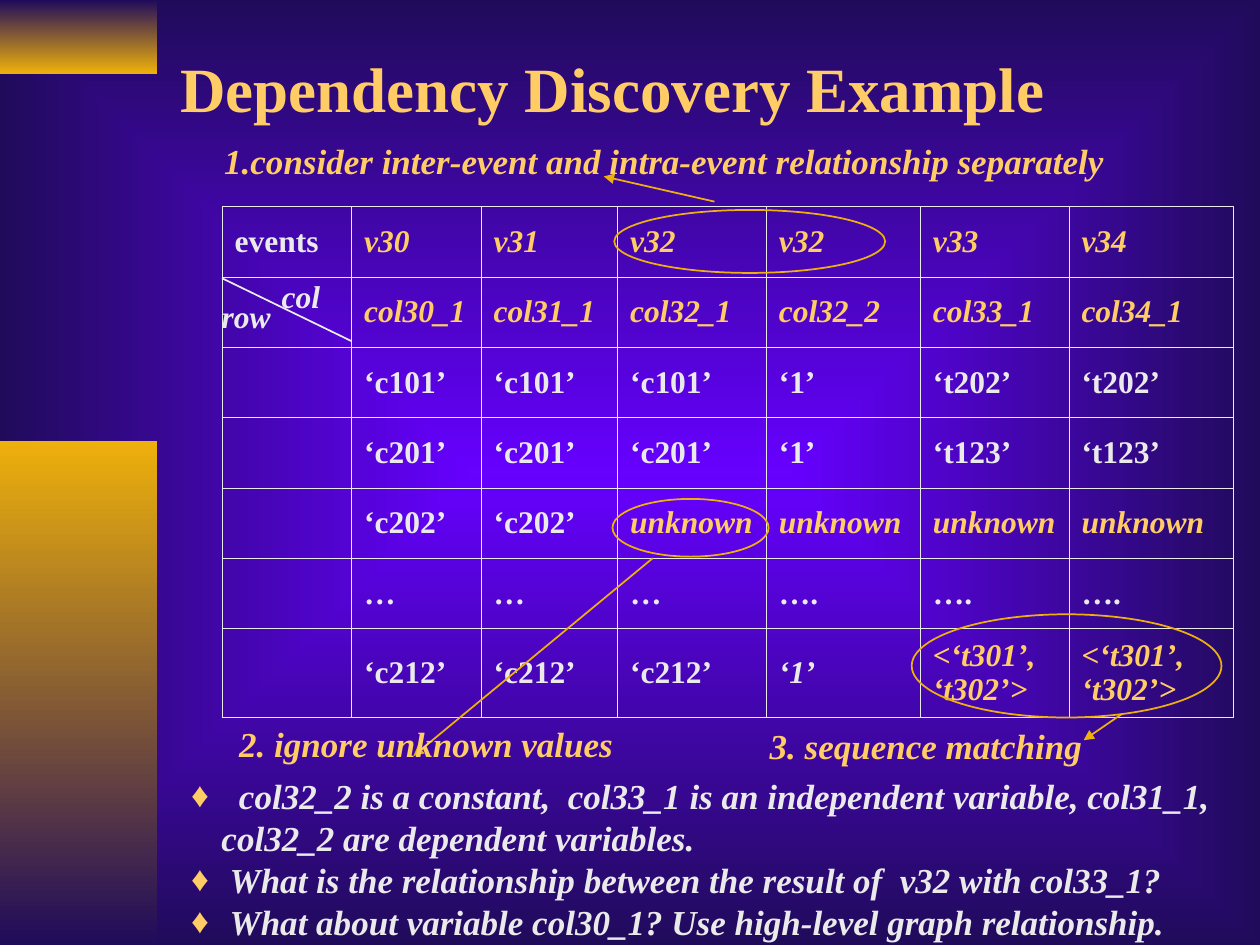
"""Build the "Dependency Discovery Example" slide."""
from lxml.etree import Element, SubElement
from pptx import Presentation
from pptx.dml.color import RGBColor
from pptx.enum.shapes import MSO_CONNECTOR, MSO_SHAPE
from pptx.enum.text import MSO_ANCHOR, MSO_AUTO_SIZE
from pptx.oxml.ns import qn
from pptx.util import Pt

FONT = "Times New Roman"
VIOLET = RGBColor(0x66, 0x00, 0xFF)
NAVY = RGBColor(0x20, 0x0B, 0x5B)
GOLD = RGBColor(0xEE, 0xB0, 0x0B)
YELLOW = RGBColor(0xFF, 0xCC, 0x66)
PALE = RGBColor(0xEA, 0xEA, 0xEA)

COLUMN_WIDTHS = [74, 74, 78, 85, 88, 85, 94]
ROW_HEIGHTS = [40.2] * 6 + [50.4]
ROWS = [
    ["events", "v30", "v31", "v32", "v32", "v33", "v34"],
    ["", "col30_1", "col31_1", "col32_1", "col32_2", "col33_1", "col34_1"],
    ["", "‘c101’", "‘c101’", "‘c101’", "‘1’", "‘t202’", "‘t202’"],
    ["", "‘c201’", "‘c201’", "‘c201’", "‘1’", "‘t123’", "‘t123’"],
    ["", "‘c202’", "‘c202’", "unknown", "unknown", "unknown", "unknown"],
    ["", "…", "…", "…", "….", "….", "…."],
    ["", "‘c212’", "‘c212’", "‘c212’", "‘1’", "<‘t301’, ‘t302’>", "<‘t301’, ‘t302’>"],
]
QUESTIONS = [
    "  col32_2 is a constant,  col33_1 is an independent variable, col31_1, "
    "col32_2 are dependent variables.",
    " What is the relationship between the result of  v32 with col33_1?",
    " What about variable col30_1? Use high-level graph relationship.",
]


def points(*values):
    return [Pt(value) for value in values]


def fill_gradient(fill, start, end):
    fill.gradient()
    for stop, color in zip(fill.gradient_stops, (start, end)):
        stop.color.rgb = color


def set_background(slide):
    fill_gradient(slide.background.fill, VIOLET, NAVY)
    gradient = slide.element.find(".//" + qn("a:gradFill"))
    gradient.remove(gradient.find(qn("a:lin")))
    shade = SubElement(gradient, qn("a:path"), {"path": "rect"})
    SubElement(shade, qn("a:fillToRect"), dict.fromkeys("ltrb", "50000"))


def add_side_bar(slide, box, start, end):
    shape = slide.shapes.add_shape(MSO_SHAPE.RECTANGLE, *points(*box))
    shape.shadow.inherit = False
    fill_gradient(shape.fill, start, end)
    shape.fill.gradient_angle = 270
    shape.line.fill.background()


def format_runs(paragraph, size, color, italic):
    for run in paragraph.runs:
        run.font.name = FONT
        run.font.size = Pt(size)
        run.font.bold = True
        run.font.italic = italic
        run.font.color.rgb = color


def add_text(slide, text, box, size, color, italic=True, wrap=False):
    shape = slide.shapes.add_textbox(*points(*box))
    text_frame = shape.text_frame
    text_frame.word_wrap = wrap
    if not wrap:
        text_frame.auto_size = MSO_AUTO_SIZE.SHAPE_TO_FIT_TEXT
    text_frame.text = text
    for paragraph in text_frame.paragraphs:
        format_runs(paragraph, size, color, italic)
    return text_frame


def add_bullets(text_frame):
    for paragraph in text_frame.paragraphs:
        paragraph.line_spacing = Pt(24)
        properties = paragraph._p.get_or_add_pPr()
        properties.set("marL", str(Pt(17.3)))
        properties.set("indent", str(-Pt(17.3)))
        color = SubElement(properties, qn("a:buClr"))
        SubElement(color, qn("a:srgbClr"), {"val": str(YELLOW)})
        SubElement(properties, qn("a:buFont"), {"typeface": FONT})
        SubElement(properties, qn("a:buChar"), {"char": "♦"})


def set_borders(cell):
    properties = cell._tc.get_or_add_tcPr()
    for index, side in enumerate(("lnL", "lnR", "lnT", "lnB")):
        border = Element(qn("a:" + side), {"w": str(Pt(0.45))})
        fill = SubElement(border, qn("a:solidFill"))
        SubElement(fill, qn("a:srgbClr"), {"val": str(PALE)})
        properties.insert(index, border)


def add_event_table(slide):
    box = points(126.9, 118.1, sum(COLUMN_WIDTHS), sum(ROW_HEIGHTS))
    table = slide.shapes.add_table(len(ROWS), len(COLUMN_WIDTHS), *box).table
    table.first_row = table.horz_banding = False
    for column, width in zip(table.columns, COLUMN_WIDTHS):
        column.width = Pt(width)
    for row, height in zip(table.rows, ROW_HEIGHTS):
        row.height = Pt(height)
    for row_index, texts in enumerate(ROWS):
        for column_index, text in enumerate(texts):
            cell = table.cell(row_index, column_index)
            cell.fill.background()
            set_borders(cell)
            cell.vertical_anchor = MSO_ANCHOR.MIDDLE
            cell.text_frame.text = text
            paragraph = cell.text_frame.paragraphs[0]
            paragraph.space_before = Pt(4.5)
            heading = row_index < 2 and column_index > 0
            accent = heading or text == "unknown" or text.startswith("<")
            italic = accent or (row_index == 6 and text == "‘1’")
            format_runs(paragraph, 18, YELLOW if accent else PALE, italic)


def add_line(slide, start, end, color, arrow=False):
    connector = slide.shapes.add_connector(
        MSO_CONNECTOR.STRAIGHT, *points(*start, *end))
    connector.line.color.rgb = color
    connector.line.width = Pt(1)
    if arrow:
        SubElement(connector.line._get_or_add_ln(), qn("a:tailEnd"), {"type": "triangle"})
    SubElement(connector._element.spPr, qn("a:effectLst"))


def add_ring(slide, box):
    shape = slide.shapes.add_shape(MSO_SHAPE.OVAL, *points(*box))
    shape.shadow.inherit = False
    shape.fill.background()
    shape.line.color.rgb = GOLD
    shape.line.width = Pt(1)


def add_callout(slide, text, text_box, ring_box, arrow_start, arrow_end):
    add_line(slide, arrow_start, arrow_end, GOLD, arrow=True)
    add_text(slide, text, text_box, 20, YELLOW)
    add_ring(slide, ring_box)


def main():
    presentation = Presentation()
    presentation.slide_width, presentation.slide_height = points(720, 540)
    slide = presentation.slides.add_slide(presentation.slide_layouts[6])
    set_background(slide)
    add_side_bar(slide, (0, 0, 90, 42), NAVY, GOLD)
    add_side_bar(slide, (0, 252, 90, 288), GOLD, NAVY)

    title = add_text(slide, "Dependency Discovery Example", (96, 24, 612, 52),
                     36, YELLOW, italic=False, wrap=True)
    title.vertical_anchor = MSO_ANCHOR.MIDDLE

    add_event_table(slide)
    add_text(slide, "col", (153.8, 154.8, 37, 28.8), 18, PALE)
    add_text(slide, "row", (119.6, 166, 42.5, 28.8), 18, PALE)
    add_line(slide, (126.9, 159), (201, 195), PALE)

    questions = add_text(slide, "\n".join(QUESTIONS), (102.2, 439, 599, 103.7),
                         20, PALE, wrap=True)
    add_bullets(questions)

    add_callout(slide, "1.consider inter-event and intra-event relationship separately",
                (121, 76.3, 517.7, 31.7), (351, 120, 154.8, 36),
                (408.3, 115.2), (345, 100.8))
    add_callout(slide, "2. ignore unknown values",
                (129.6, 409.2, 228.2, 31.7), (350, 285.1, 89.2, 33),
                (373, 319), (236.2, 432))
    add_callout(slide, "3. sequence matching",
                (432.7, 410.4, 193, 31.7), (521, 351, 177, 59),
                (640.8, 408.2), (619.2, 423))
    presentation.save("out.pptx")


if __name__ == "__main__":
    main()
